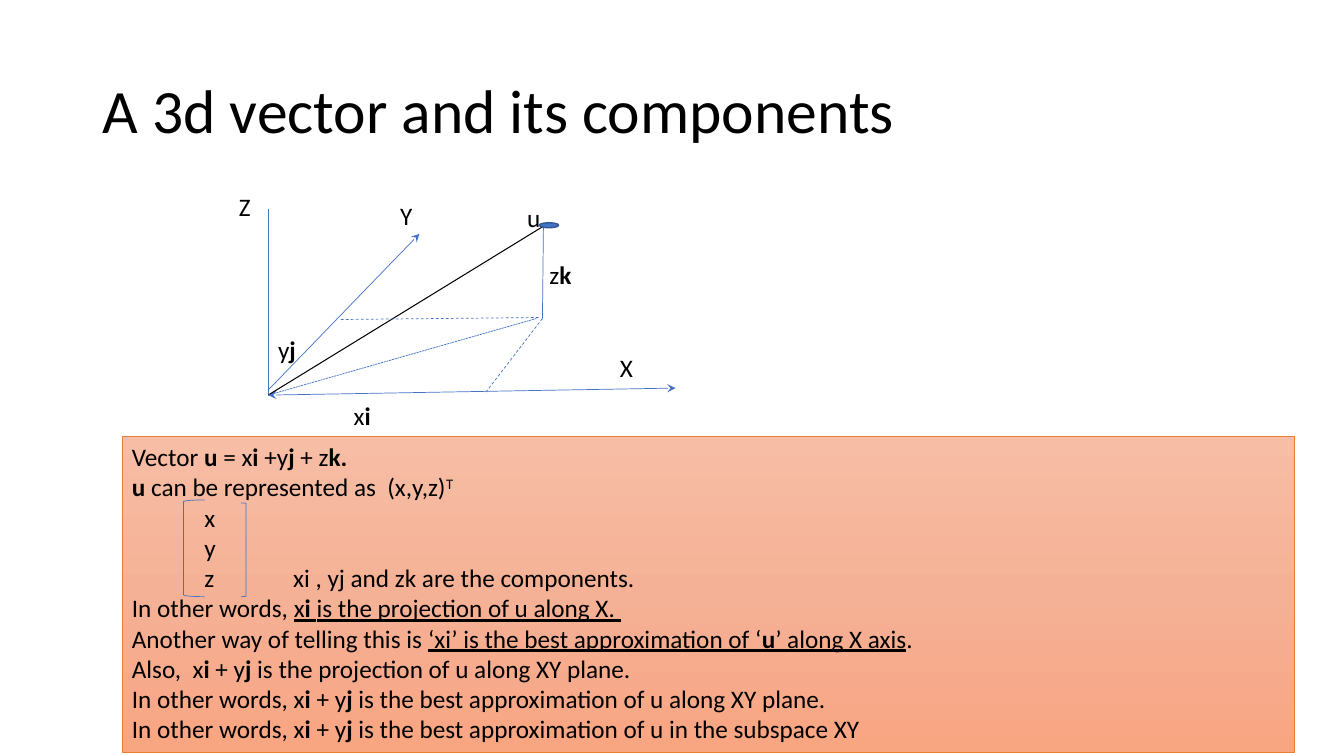
from lxml import etree
from pptx import Presentation
from pptx import util as u
from pptx.dml.color import RGBColor
from pptx.enum import dml, shapes, text
from pptx.oxml.ns import qn

COLORS = {"ink": "000000", "blue": "4472C4", "navy": "325491", "orange": "ED7D31"}
PANEL_STOPS = [(0, "F7BDA5"), (50, "F5B196"), (100, "F8A582")]
DASHES = {"dash": dml.MSO_LINE.DASH, "dots": dml.MSO_LINE.SQUARE_DOT}
EMU_PER_PX = 9144

ORIGIN = (266, 392)
FOOT = (538, 316)
LINES = [
    (ORIGIN, (266, 207), {}),
    ((670, 385), ORIGIN, {"head": True, "tail": True}),
    ((266, 387), (416, 232), {"tail": True}),
    (ORIGIN, (538, 225), {"color": "ink", "weight": 0.75}),
    ((539, 225), FOOT, {}),
    (ORIGIN, (532, 316), {"dash": "dots"}),
    (FOOT, (482, 389), {"dash": "dash"}),
    ((338, 317), (535, 315), {"dash": "dash"}),
]
LABELS = [
    (605, 345, 78, ["X"]),
    (227, 185, 78, ["Z"]),
    (387, 194, 78, ["Y"]),
    (513, 196, 52, ["u"]),
    (535, 252, 76, ["z", ("k", "b")]),
    (341, 392, 78, ["x", ("i", "b")]),
    (266, 327, 52, ["y", ("j", "b")]),
]
NOTES = [
    ["Vector ", ("u", "b"), " = x", ("i", "b"), " +y", ("j", "b"), " + z", ("k.", "b")],
    [("u", "b"), " can be represented as  (x,y,z)", ("T", "^")],
    ["\tx"],
    ["\ty"],
    ["\tz\txi , yj and zk are the components."],
    ["In other words, ", ("x", "u"), ("i ", "bu"), ("is the projection of u along X. ", "u")],
    ["Another way of telling this is ", ("‘xi’ is the best approximation of ‘", "u"),
     ("u", "bu"), ("’ along X axis", "u"), "."],
    ["Also,  x", ("i ", "b"), "+ y", ("j", "b"), " is the projection of u along XY plane."],
]
NOTES += [
    ["In other words, x", ("i ", "b"), "+ y", ("j ", "b"),
     f"is the best approximation of u {place}"]
    for place in ("along XY plane.", "in the subspace XY")
]


class Sketch:
    """Draws styled elements on the current slide."""

    def __init__(self, slide, font="Calibri"):
        self.slide = slide
        self.font = font

    def px(self, *lengths):
        return [u.Emu(length * EMU_PER_PX) for length in lengths]

    def color(self, name):
        return RGBColor.from_string(COLORS[name])

    def add_spans(self, para, spans, size=18):
        para.alignment = text.PP_ALIGN.LEFT
        for item in spans:
            words, marks = (item, "") if isinstance(item, str) else item
            span = para.add_run()
            span.text = words
            span.font.name = self.font
            span.font.size = u.Pt(size)
            span.font.color.rgb = self.color("ink")
            span.font.bold = "b" in marks
            span.font.underline = "u" in marks
            if "^" in marks:
                span.font._element.set("baseline", "30000")

    def title(self, words, *place):
        box = self.slide.shapes.title
        box.left, box.top, box.width, box.height = self.px(*place)
        box.text_frame.vertical_anchor = text.MSO_ANCHOR.MIDDLE
        para = box.text_frame.paragraphs[0]
        para.line_spacing = 0.9
        self.add_spans(para, [words], 44)

    def label(self, left, top, width, spans):
        box = self.slide.shapes.add_textbox(*self.px(left, top, width, 40))
        box.text_frame.word_wrap = True
        box.text_frame.auto_size = text.MSO_AUTO_SIZE.SHAPE_TO_FIT_TEXT
        self.add_spans(box.text_frame.paragraphs[0], spans)

    def line(self, start, end, color="blue", weight=0.5, dash=None, head=False, tail=False):
        line = self.slide.shapes.add_connector(
            shapes.MSO_CONNECTOR.STRAIGHT, *self.px(*start, *end))
        line.line.color.rgb = self.color(color)
        line.line.width = u.Pt(weight)
        if dash:
            line.line.dash_style = DASHES[dash]
        outline = line.line._get_or_add_ln()
        for tag, wanted in (("a:headEnd", head), ("a:tailEnd", tail)):
            if wanted:
                etree.SubElement(outline, qn(tag), type="stealth")
        etree.SubElement(line._element.spPr, qn("a:effectLst"))

    def shape(self, kind, place, line, weight=0.5, fill=None):
        shape = self.slide.shapes.add_shape(kind, *self.px(*place))
        shape.shadow.inherit = False
        shape.line.color.rgb = self.color(line)
        shape.line.width = u.Pt(weight)
        if fill:
            shape.fill.solid()
            shape.fill.fore_color.rgb = self.color(fill)
        else:
            shape.fill.background()
        return shape

    def panel(self, place, stops, paragraphs, tabs):
        panel = self.shape(shapes.MSO_SHAPE.RECTANGLE, place, "orange")
        panel.fill.gradient()
        panel.fill.gradient_angle = 270
        stop_list = panel._element.spPr.find(qn("a:gradFill")).find(qn("a:gsLst"))
        for stop in list(stop_list):
            stop_list.remove(stop)
        for percent, value in stops:
            stop = etree.SubElement(stop_list, qn("a:gs"), pos=str(percent * 1000))
            etree.SubElement(stop, qn("a:srgbClr"), val=value)
        frame = panel.text_frame
        frame.word_wrap = True
        frame.auto_size = text.MSO_AUTO_SIZE.SHAPE_TO_FIT_TEXT
        frame.vertical_anchor = text.MSO_ANCHOR.TOP
        for index, spans in enumerate(paragraphs):
            para = frame.add_paragraph() if index else frame.paragraphs[0]
            self.add_spans(para, spans)
            tab_list = etree.SubElement(para._p.get_or_add_pPr(), qn("a:tabLst"))
            for position in self.px(*tabs):
                etree.SubElement(tab_list, qn("a:tab"), pos=str(int(position)), algn="l")


def main():
    deck = Presentation()
    deck.slide_width, deck.slide_height = u.Inches(13.33), u.Inches(7.5)
    sketch = Sketch(deck.slides.add_slide(deck.slide_layouts[5]))
    sketch.title("A 3d vector and its components", 92, 40, 1150, 145)
    for start, end, style in LINES:
        sketch.line(start, end, **style)
    sketch.shape(shapes.MSO_SHAPE.OVAL, (535, 221, 19, 5), "navy", 1, "blue")
    for label in LABELS:
        sketch.label(*label)
    sketch.panel((121, 433, 1163, 313), PANEL_STOPS, NOTES, tabs=(72, 160))
    sketch.shape(shapes.MSO_SHAPE.LEFT_BRACKET, (182, 496, 21, 96), "blue")
    sketch.shape(shapes.MSO_SHAPE.RIGHT_BRACKET, (239, 499, 5, 93), "blue")
    deck.save("out.pptx")


if __name__ == "__main__":
    main()
